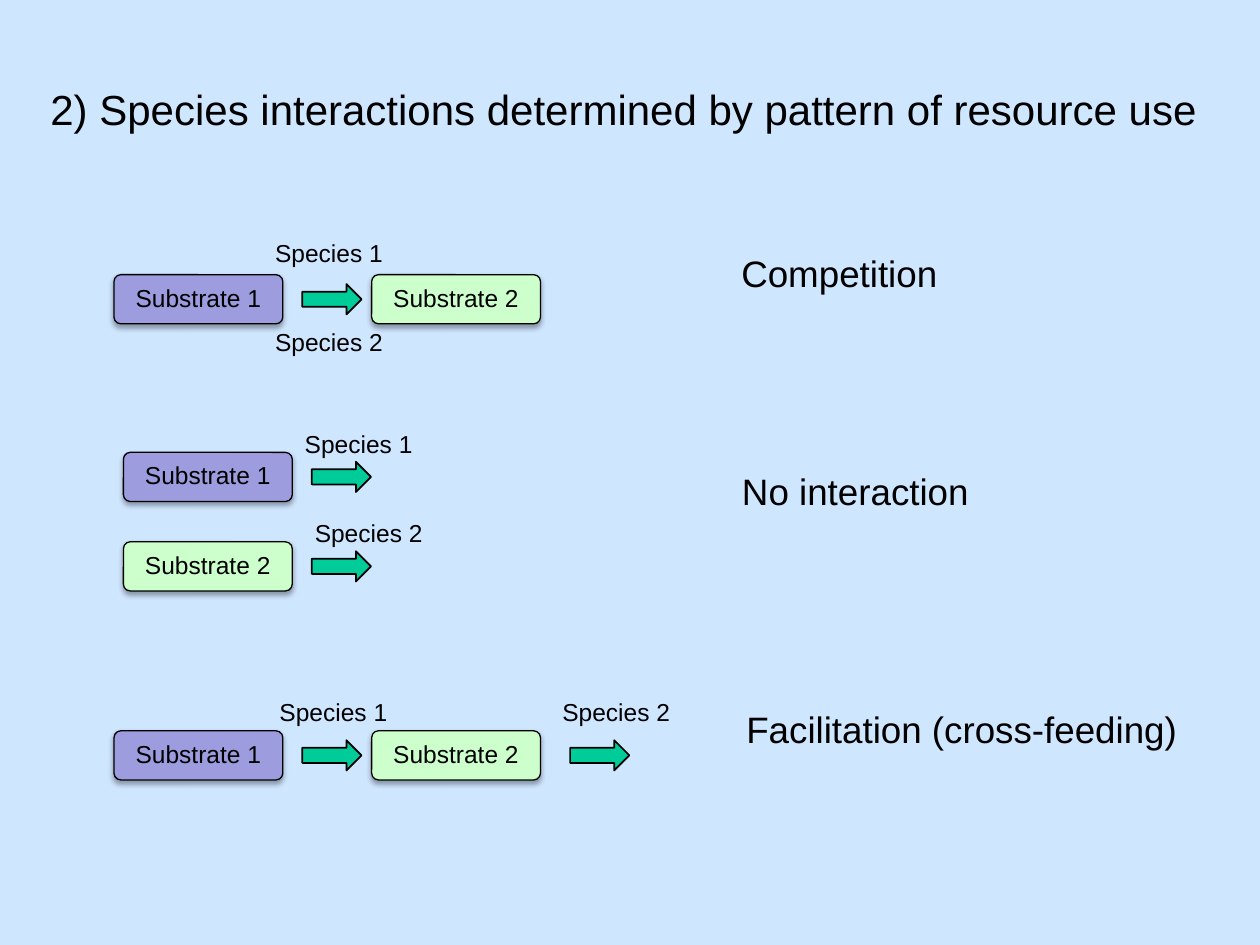
from lxml.etree import SubElement
from pptx import Presentation
from pptx.dml.color import RGBColor
from pptx.enum.shapes import MSO_SHAPE
from pptx.enum.text import MSO_ANCHOR, MSO_AUTO_SIZE, PP_ALIGN
from pptx.oxml.ns import qn
from pptx.util import Inches, Pt

SLIDE_WIDTH = Inches(10)
SLIDE_HEIGHT = Inches(7.5)
COLUMN = SLIDE_WIDTH / 100
ROW = SLIDE_HEIGHT / 75

BACKGROUND = RGBColor(0xCF, 0xE6, 0xFF)
BLACK = RGBColor(0x00, 0x00, 0x00)
PURPLE = RGBColor(0x9C, 0x9C, 0xDF)
LIGHT_GREEN = RGBColor(0xCC, 0xFF, 0xCC)
TEAL = RGBColor(0x00, 0xCC, 0x99)

FONT = "Arial"
BOX_WIDTH, BOX_HEIGHT = 13.4, 3.9
ARROW_WIDTH, ARROW_HEIGHT = 4.7, 2.4
ARROW_OFFSET = 14.95
SECOND_BOX_OFFSET = 20.45
SUBSTRATES = {"Substrate 1": PURPLE, "Substrate 2": LIGHT_GREEN}


def grid_box(left, top, width, height):
    return (round(left * COLUMN), round(top * ROW),
            round(width * COLUMN), round(height * ROW))


def write(text_frame, text, size):
    text_frame.text = text
    font = text_frame.paragraphs[0].runs[0].font
    font.name = FONT
    font.size = Pt(size)
    font.color.rgb = BLACK


def style(shape, fill, line_width):
    shape.shadow.inherit = False
    shape.fill.solid()
    shape.fill.fore_color.rgb = fill
    shape.line.color.rgb = BLACK
    shape.line.width = Pt(line_width)


def add_soft_shadow(shape):
    effects = shape._element.spPr.find(qn("a:effectLst"))
    shadow = SubElement(effects, qn("a:outerShdw"), blurRad=str(Pt(3.1)),
                        dist=str(Pt(1.8)), dir="5400000", rotWithShape="0")
    color = SubElement(shadow, qn("a:srgbClr"), val=str(BLACK))
    SubElement(color, qn("a:alpha"), val="35000")


def add_substrate(slide, name, left, top):
    shape = slide.shapes.add_shape(
        MSO_SHAPE.ROUNDED_RECTANGLE, *grid_box(left, top, BOX_WIDTH, BOX_HEIGHT))
    shape.adjustments[0] = 0.14
    style(shape, SUBSTRATES[name], 0.75)
    add_soft_shadow(shape)
    text_frame = shape.text_frame
    text_frame.margin_left = text_frame.margin_right = Inches(0.06)
    text_frame.margin_top = text_frame.margin_bottom = Inches(0.06)
    text_frame.vertical_anchor = MSO_ANCHOR.MIDDLE
    write(text_frame, name, 14)
    paragraph = text_frame.paragraphs[0]
    paragraph.alignment = PP_ALIGN.CENTER
    paragraph.line_spacing = 0.9


def add_arrow(slide, left, box_top):
    top = box_top + (BOX_HEIGHT - ARROW_HEIGHT) / 2
    shape = slide.shapes.add_shape(
        MSO_SHAPE.RIGHT_ARROW, *grid_box(left, top, ARROW_WIDTH, ARROW_HEIGHT))
    style(shape, TEAL, 1)


def add_label(slide, text, left, top, width=10.6, height=3.4, size=14):
    text_frame = slide.shapes.add_textbox(
        *grid_box(left, top, width, height)).text_frame
    text_frame.word_wrap = False
    text_frame.auto_size = MSO_AUTO_SIZE.SHAPE_TO_FIT_TEXT
    write(text_frame, text, size)


def add_outcome(slide, text, left, top, width):
    add_label(slide, text, left, top, width, 4.5, 21)


def add_conversion(slide, left, top):
    add_substrate(slide, "Substrate 1", left, top)
    add_arrow(slide, left + ARROW_OFFSET, top)
    add_substrate(slide, "Substrate 2", left + SECOND_BOX_OFFSET, top)


def add_competition(slide, left, top):
    add_conversion(slide, left, top)
    add_label(slide, "Species 1", left + 11.8, top - 3.4)
    add_label(slide, "Species 2", left + 11.8, top + 3.7)
    add_outcome(slide, "Competition", left + 48.8, top - 2.4, 17.7)


def add_no_interaction(slide, left, top):
    rows = (("Substrate 1", "Species 1", 13.4), ("Substrate 2", "Species 2", 14.2))
    for index, (substrate, species, label_offset) in enumerate(rows):
        row_top = top + 7.1 * index
        add_substrate(slide, substrate, left, row_top)
        add_arrow(slide, left + ARROW_OFFSET, row_top)
        add_label(slide, species, left + label_offset, row_top - 2.35)
    add_outcome(slide, "No interaction", left + 48.1, top + 0.8, 20.2)


def add_facilitation(slide, left, top):
    add_conversion(slide, left, top)
    add_arrow(slide, left + 36.2, top)
    add_label(slide, "Species 1", left + 12.15, top - 3.2)
    add_label(slide, "Species 2", left + 34.6, top - 3.2)
    add_outcome(slide, "Facilitation (cross-feeding)", left + 49.2, top - 2.4, 36.6)


def add_title(slide, left, top, width, height):
    title = slide.shapes.title
    title.left, title.top, title.width, title.height = grid_box(
        left, top, width, height)
    text_frame = title.text_frame
    text_frame.word_wrap = True
    text_frame.auto_size = MSO_AUTO_SIZE.NONE
    text_frame.vertical_anchor = MSO_ANCHOR.BOTTOM
    text_frame.margin_left = text_frame.margin_right = Inches(0.05)
    text_frame.margin_top = 0
    text_frame.margin_bottom = Inches(0.05)
    write(text_frame,
          "2) Species interactions determined by pattern of resource use", 24)
    text_frame.paragraphs[0].alignment = PP_ALIGN.LEFT


def main():
    presentation = Presentation()
    presentation.slide_width = SLIDE_WIDTH
    presentation.slide_height = SLIDE_HEIGHT
    slide = presentation.slides.add_slide(presentation.slide_layouts[5])
    slide.background.fill.solid()
    slide.background.fill.fore_color.rgb = BACKGROUND
    add_title(slide, 3.5, 2.5, 96.5, 8.6)
    add_competition(slide, 9.05, 21.8)
    add_no_interaction(slide, 9.8, 35.9)
    add_facilitation(slide, 9.05, 58)
    presentation.save("out.pptx")


if __name__ == "__main__":
    main()
